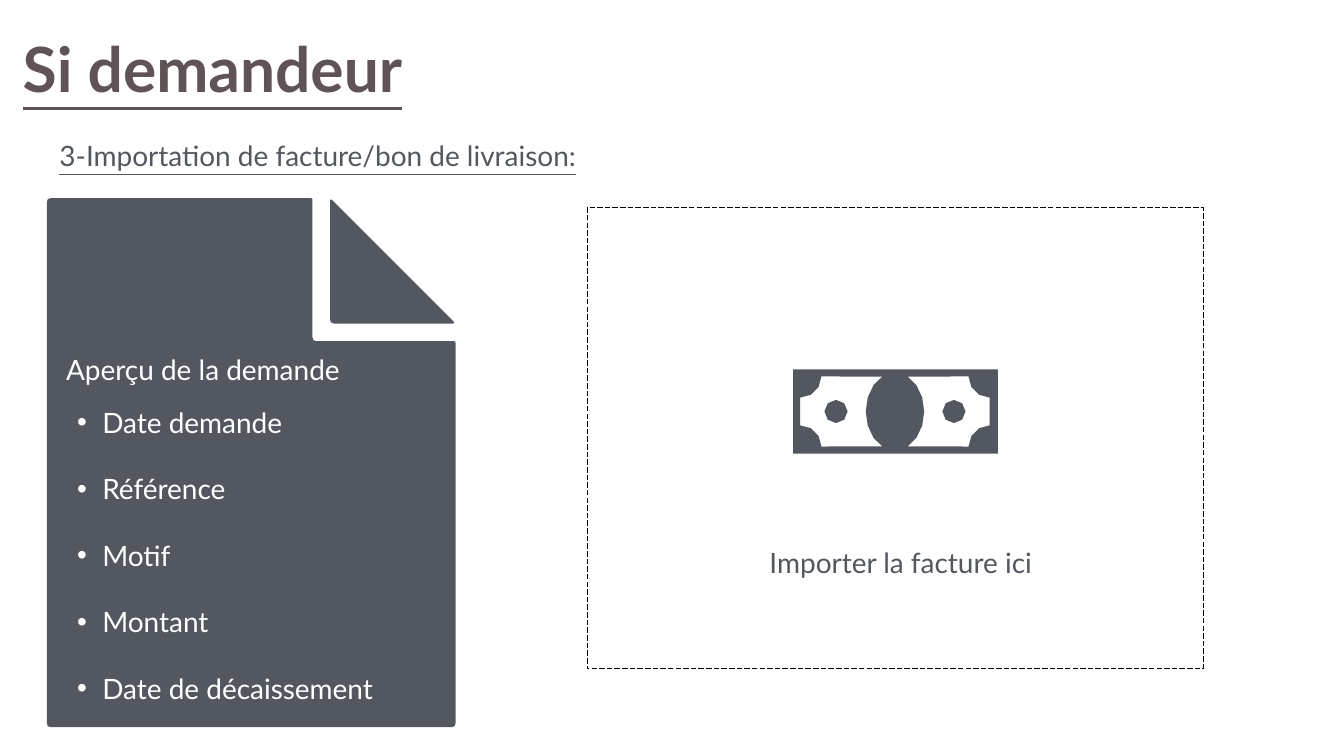
import math

import pptx
import pptx.dml.color
import pptx.enum.dml
import pptx.enum.shapes
import pptx.enum.text
import pptx.oxml
import pptx.oxml.ns
import pptx.util

Inches = pptx.util.Inches
COLORS = {"slate": "535860", "plum": "5F5355", "white": "FFFFFF", "black": "000000"}
ITEMS = ["Date demande", "Référence", "Motif", "Montant", "Date de décaissement"]
UNITS = 1000


def color(name):
    """Return the named colour."""
    return pptx.dml.color.RGBColor.from_string(COLORS[name])


def place(shape, left, top, width, height):
    """Move and size a shape in inches."""
    places = {"left": left, "top": top, "width": width, "height": height}
    for name, value in places.items():
        setattr(shape, name, Inches(value))


def write(shape, lines, tint, bullet=None, **style):
    """Fill a shape with paragraphs in one format."""
    frame = shape.text_frame
    settings = {
        "word_wrap": False,
        "auto_size": pptx.enum.text.MSO_AUTO_SIZE.NONE,
        "vertical_anchor": pptx.enum.text.MSO_ANCHOR.MIDDLE,
    }
    for side in ("left", "right", "top", "bottom"):
        settings["margin_" + side] = Inches(0.06)
    for name, value in settings.items():
        setattr(frame, name, value)
    style = {"name": "Lato", "size": pptx.util.Pt(40), **style}
    for index, line in enumerate(lines):
        para = frame.add_paragraph() if index else frame.paragraphs[0]
        para.alignment = pptx.enum.text.PP_ALIGN.LEFT
        para.space_before = pptx.util.Pt(47 if index else 0)
        if bullet:
            properties = para._p.get_or_add_pPr()
            properties.set("marL", str(Inches(0.5)))
            properties.set("indent", str(Inches(-0.5)))
            mark = pptx.oxml.parse_xml(
                f'<a:buChar {pptx.oxml.ns.nsdecls("a")} char="{bullet}"/>'
            )
            properties.append(mark)
        span = para.add_run()
        span.text = line
        span.font.color.rgb = color(tint)
        for name, value in style.items():
            setattr(span.font, name, value)


def label(page, box, text, tint, **style):
    """Add a one-line text box."""
    shape = page.shapes.add_textbox(*map(Inches, box))
    write(shape, [text], tint, **style)


def arc(x, y, width, height, start, end, steps):
    """List points on an ellipse between two angles in degrees."""
    angles = [math.radians(start + (end - start) * i / steps) for i in range(steps + 1)]
    return [(x + width * math.cos(a), y + height * math.sin(a)) for a in angles]


def rounded(corners):
    """List the points of a polygon whose corners are (x, y, radius)."""
    points = []
    for index, (x, y, radius) in enumerate(corners):
        ends = []
        for near in (corners[index - 1], corners[(index + 1) % len(corners)]):
            ratio = radius / math.dist((x, y), near[:2])
            ends.append((x + (near[0] - x) * ratio, y + (near[1] - y) * ratio))
        (ax, ay), (bx, by) = ends
        points += [ends[0], ((ax + 2 * x + bx) / 4, (ay + 2 * y + by) / 4), ends[1]]
    return points


def outline(page, left, top, contours):
    """Draw closed contours as one slate shape."""
    scaled = [[(x * UNITS, y * UNITS) for x, y in contour] for contour in contours]
    builder = page.shapes.build_freeform(*scaled[0][0], scale=Inches(1) / UNITS)
    builder.add_line_segments(scaled[0][1:], close=True)
    for contour in scaled[1:]:
        builder.move_to(*contour[0])
        builder.add_line_segments(contour[1:], close=True)
    shape = builder.convert_to_shape(Inches(left), Inches(top))
    shape.shadow.inherit = False
    shape.fill.solid()
    shape.fill.fore_color.rgb = color("slate")
    shape.line.fill.background()
    return shape


def request_document(page, left, top, width, height):
    """Draw the folded document and its request summary."""
    fold_x, fold_y, gap = 5.27, 2.84, 0.35
    sheet = [
        (0, 0, 0.08), (fold_x, 0, 0.03), (fold_x, fold_y, 0.08),
        (width, fold_y, 0.03), (width, height, 0.08), (0, height, 0.08),
    ]
    flap = [
        (fold_x + gap, 0, 0.06), (fold_x + gap, fold_y - gap, 0.08),
        (width, fold_y - gap, 0.06),
    ]
    document = outline(page, left, top, [rounded(sheet), rounded(flap)])
    document.element.getparent().insert(2, document.element)
    items = page.placeholders[1]
    place(items, left + 0.54, top + 3.81, 6.28, 6.54)
    write(items, ITEMS, "white", bullet="•")
    label(page, (left + 0.32, top + 2.95, 5.95, 0.88), "Aperçu de la demande", "white")


def banknote(page, left, top, width, height):
    """Draw a banknote with two cut-out panels."""
    edge, corner = 0.14, 0.42
    middle, center = height / 2, 2.02
    bottom = height - edge
    panel = (
        arc(edge, edge, corner, corner, 90, 0, 3)
        + arc(center, middle, 0.58, 0.77, 244, 116, 6)
        + arc(edge, bottom, corner, corner, 0, -90, 3)
    )
    dot = arc(0.85, middle, 0.23, 0.23, 0, 360, 8)[:-1]
    contours = [[(0, 0), (width, 0), (width, height), (0, height)]]
    for half in (panel, dot):
        contours += [half, [(2 * center - x, y) for x, y in half]]
    outline(page, left, top, contours)


def import_zone(page, left, top, width, height):
    """Draw the dashed drop zone for the invoice."""
    zone = page.shapes.add_shape(
        pptx.enum.shapes.MSO_SHAPE.RECTANGLE, *map(Inches, (left, top, width, height))
    )
    zone.shadow.inherit = False
    zone.fill.background()
    zone.line.color.rgb = color("black")
    zone.line.width = pptx.util.Pt(1)
    zone.line.dash_style = pptx.enum.dml.MSO_LINE.LONG_DASH
    banknote(page, left + 4.09, top + 3.21, 4.06, 1.67)
    label(page, (left + 3.56, top + 6.6, 5.49, 0.88), "Importer la facture ici", "slate")


def heading(page, left, top, width, height):
    """Place the title and the step name below it."""
    place(page.shapes.title, left, top, width, height)
    write(page.shapes.title, ["Si demandeur"], "plum",
          size=pptx.util.Pt(89), bold=True, underline=True)
    label(page, (left + 0.73, top + 2.21, 10.71, 0.88),
          "3-Importation de facture/bon de livraison:", "slate", underline=True)


def main():
    """Build the slide and save the deck."""
    deck = pptx.Presentation()
    deck.slide_width, deck.slide_height = Inches(26.67), Inches(15)
    page = deck.slides.add_slide(deck.slide_layouts[1])
    heading(page, 0.39, 0.44, 8.48, 1.81)
    request_document(page, 0.93, 3.93, 8.11, 10.5)
    import_zone(page, 11.65, 4.12, 12.22, 9.15)
    deck.save("out.pptx")


if __name__ == "__main__":
    main()
